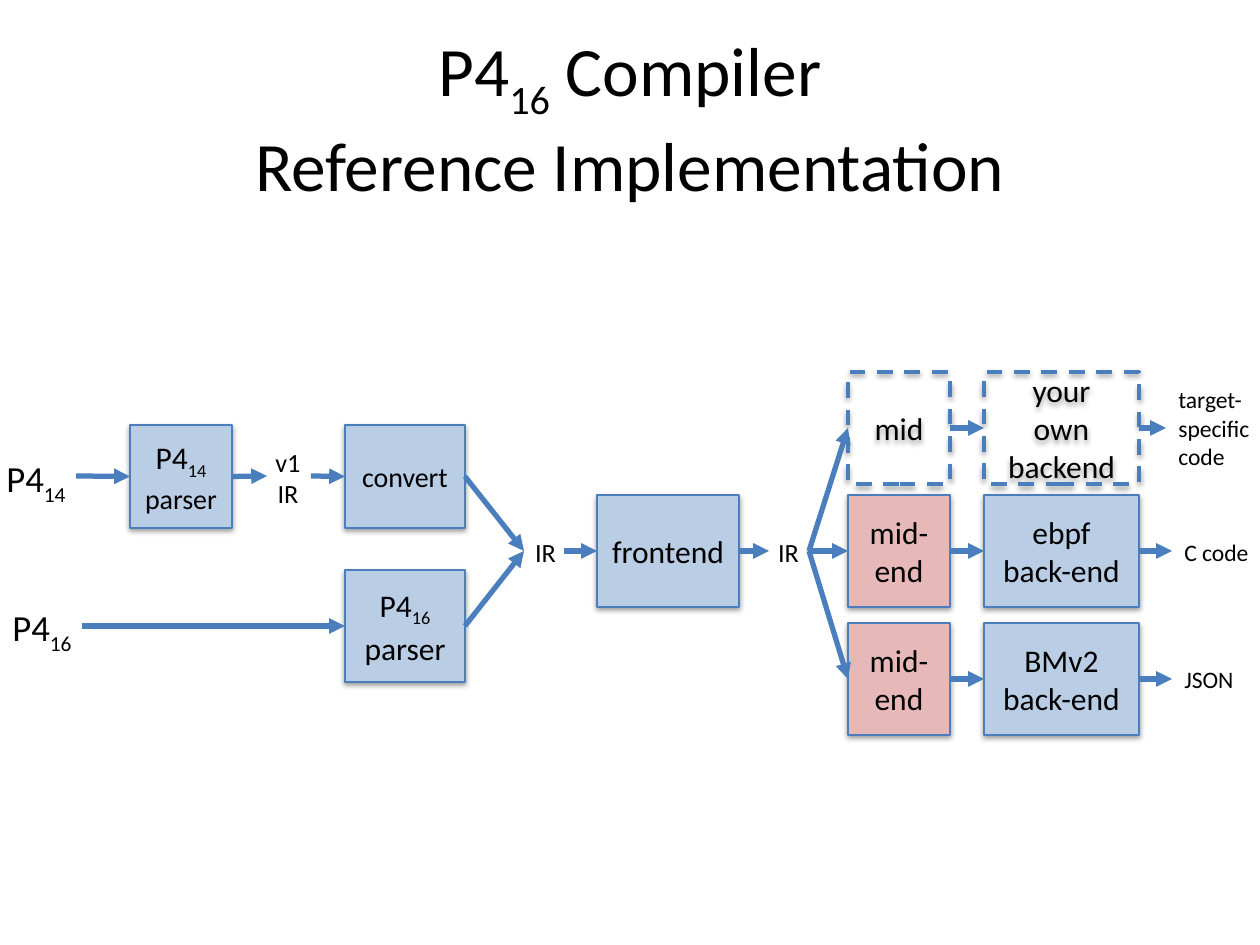
from lxml.etree import SubElement
from pptx import Presentation
from pptx.dml.color import RGBColor
from pptx.enum.dml import MSO_LINE
from pptx.enum.shapes import MSO_CONNECTOR, MSO_SHAPE
from pptx.enum.text import MSO_ANCHOR, MSO_AUTO_SIZE, PP_ALIGN
from pptx.oxml import parse_xml
from pptx.oxml.ns import nsdecls, qn
from pptx.util import Emu, Pt

BLACK = RGBColor(0x00, 0x00, 0x00)
BLUE = RGBColor(0x4B, 0x7E, 0xBC)
PALE_BLUE = RGBColor(0xB9, 0xCD, 0xE5)
PALE_RED = RGBColor(0xE6, 0xB9, 0xB8)
FONT = "Calibri"
LEFT_SIDE, RIGHT_SIDE = 1, 3

SHADOW = f"""<a:effectLst {nsdecls("a")}>
  <a:outerShdw blurRad="40000" dist="20000" dir="5400000" rotWithShape="0">
    <a:srgbClr val="000000"><a:alpha val="38000"/></a:srgbClr>
  </a:outerShdw>
</a:effectLst>"""

# Top and height of the three rows of mid-ends and back-ends
ROW_TOPS = (372, 495, 623)
ROW_HEIGHT = 112
ROW_MIDDLES = [top + ROW_HEIGHT // 2 for top in ROW_TOPS]
P4_14_MIDDLE, P4_16_MIDDLE, IR_MIDDLE = 476, 626, ROW_MIDDLES[1]


def px(length):
    return Emu(round(length * 914400 / 126))


def write_text(frame, text, size=18, last_size=None, align=PP_ALIGN.CENTER):
    """Write paragraphs split by newlines; \\v breaks a line, ~x~ is a subscript."""
    paragraphs = text.split("\n")
    for index, content in enumerate(paragraphs):
        paragraph = frame.add_paragraph() if index else frame.paragraphs[0]
        paragraph.alignment = align
        is_last = index == len(paragraphs) - 1
        for line_index, line in enumerate(content.split("\v")):
            if line_index:
                paragraph.add_line_break()
            for part_index, part in enumerate(line.split("~")):
                if not part:
                    continue
                run = paragraph.add_run()
                run.text = part
                run.font.name = FONT
                run.font.size = Pt(last_size if last_size and is_last else size)
                run.font.color.rgb = BLACK
                if part_index % 2:
                    run._r.get_or_add_rPr().set("baseline", "-25000")


def add_title(slide, text):
    title = slide.shapes.add_textbox(px(63), px(38), px(1134), px(157))
    title.text_frame.word_wrap = True
    title.text_frame.vertical_anchor = MSO_ANCHOR.MIDDLE
    write_text(title.text_frame, text, size=39.6)


def add_label(slide, left, top, width, height, text, **text_format):
    label = slide.shapes.add_textbox(px(left), px(top), px(width), px(height))
    label.text_frame.word_wrap = False
    label.text_frame.auto_size = MSO_AUTO_SIZE.SHAPE_TO_FIT_TEXT
    write_text(label.text_frame, text, **text_format)


def add_stage(slide, left, top, width, height, text, fill=PALE_BLUE, **text_format):
    """Add a compiler stage; without a fill it is dashed, for the user to supply."""
    stage = slide.shapes.add_shape(
        MSO_SHAPE.RECTANGLE, px(left), px(top), px(width), px(height))
    stage.line.color.rgb = BLUE
    if fill is None:
        stage.fill.background()
        stage.line.width = Pt(2.25)
        stage.line.dash_style = MSO_LINE.DASH
    else:
        stage.fill.solid()
        stage.fill.fore_color.rgb = fill
        stage.line.width = Pt(0.75)
    stage._element.spPr.append(parse_xml(SHADOW))
    stage.text_frame.word_wrap = True
    stage.text_frame.vertical_anchor = MSO_ANCHOR.MIDDLE
    write_text(stage.text_frame, text, **text_format)
    return stage


def add_arrow(slide, start, end):
    """Each end is an (x, y) point or a stage, left on its right, entered on its left."""
    start_point = start if isinstance(start, tuple) else (0, 0)
    end_point = end if isinstance(end, tuple) else (0, 0)
    arrow = slide.shapes.add_connector(
        MSO_CONNECTOR.STRAIGHT, *map(px, start_point + end_point))
    if start is not start_point:
        arrow.begin_connect(start, RIGHT_SIDE)
    if end is not end_point:
        arrow.end_connect(end, LEFT_SIDE)
    arrow.line.color.rgb = BLUE
    arrow.line.width = Pt(3)
    SubElement(arrow.line._get_or_add_ln(), qn("a:tailEnd"), type="triangle")
    SubElement(arrow._element.spPr, qn("a:effectLst"))


def add_parsers(slide):
    p4_14_parser = add_stage(slide, 130, 425, 102, 103, "P4~14~\nparser", last_size=16)
    convert = add_stage(slide, 345, 425, 120, 103, "convert", size=16)
    p4_16_parser = add_stage(slide, 345, 570, 120, ROW_HEIGHT, "P4~16~\nparser")

    add_label(slide, -6, 450, 88, 57, "P4~14~", size=21, align=PP_ALIGN.LEFT)
    add_label(slide, 0, 599, 88, 57, "P4~16~", size=21, align=PP_ALIGN.LEFT)
    add_label(slide, 263, 440, 50, 77, "v1\vIR", size=15)

    ir_entry = (524, IR_MIDDLE)
    for start, end in (
        ((76, P4_14_MIDDLE), p4_14_parser),
        (p4_14_parser, (267, P4_14_MIDDLE)),
        ((311, P4_14_MIDDLE), convert),
        ((82, P4_16_MIDDLE), p4_16_parser),
        (convert, ir_entry),
        (p4_16_parser, ir_entry),
    ):
        add_arrow(slide, start, end)


def add_frontend(slide):
    frontend = add_stage(slide, 597, ROW_TOPS[1], 142, ROW_HEIGHT, "frontend")
    for left in (522, 765):
        add_label(slide, left, 530, 47, 44, "IR", size=15)
    add_arrow(slide, (564, IR_MIDDLE), frontend)
    add_arrow(slide, frontend, (769, IR_MIDDLE))


def add_backends(slide):
    rows = (
        ("mid", None, "your\vown\vbackend", None, 1166),
        ("mid-\vend", PALE_RED, "ebpf\nback-end", PALE_BLUE, 1172),
        ("mid-\vend", PALE_RED, "BMv2\nback-end", PALE_BLUE, 1172),
    )
    for top, middle, row in zip(ROW_TOPS, ROW_MIDDLES, rows):
        mid_text, mid_fill, backend_text, backend_fill, output_left = row
        mid_end = add_stage(slide, 848, top, 102, ROW_HEIGHT, mid_text, fill=mid_fill)
        backend = add_stage(
            slide, 984, top, 155, ROW_HEIGHT, backend_text, fill=backend_fill)
        add_arrow(slide, (809, IR_MIDDLE), mid_end)
        add_arrow(slide, mid_end, backend)
        add_arrow(slide, backend, (output_left, middle))

    for left, top, width, height, text in (
        (1166, 379, 98, 98, "target-\vspecific\ncode"),
        (1172, 532, 91, 42, "C code"),
        (1172, 659, 76, 42, "JSON"),
    ):
        add_label(slide, left, top, width, height, text, size=13.5, align=PP_ALIGN.LEFT)


def main():
    presentation = Presentation()
    presentation.slide_width, presentation.slide_height = px(1260), px(945)
    slide = presentation.slides.add_slide(presentation.slide_layouts[6])
    add_title(slide, "P4~16~ Compiler\vReference Implementation")
    add_parsers(slide)
    add_frontend(slide)
    add_backends(slide)
    presentation.save("out.pptx")


if __name__ == "__main__":
    main()
